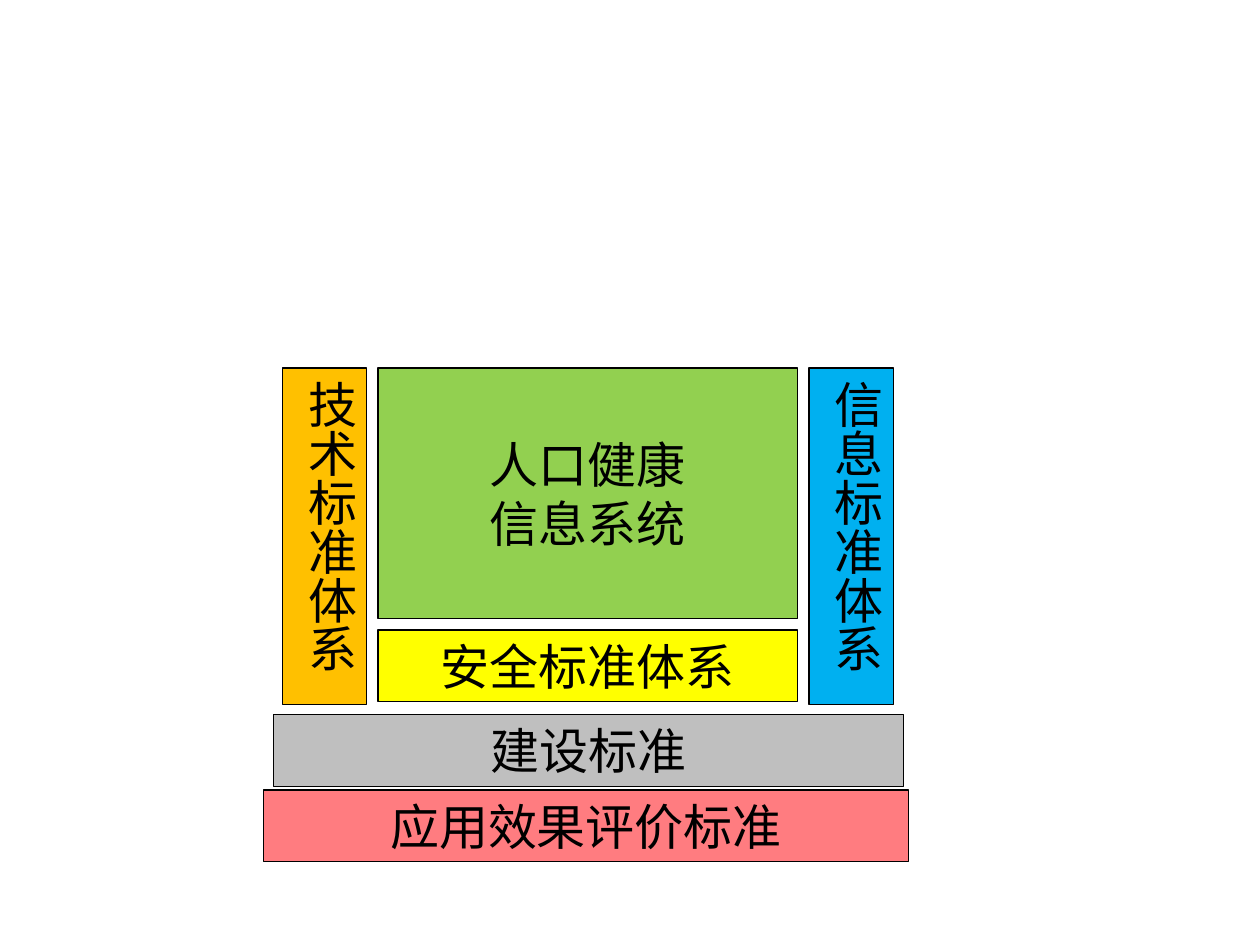
"""Build a block diagram of the standards around a population health information system."""
from pptx import Presentation
from pptx.dml.color import RGBColor
from pptx.enum.shapes import MSO_SHAPE
from pptx.enum.text import MSO_ANCHOR, PP_ALIGN
from pptx.util import Inches, Pt

BLACK = RGBColor(0x00, 0x00, 0x00)
GREEN = RGBColor(0x92, 0xD0, 0x50)
ORANGE = RGBColor(0xFF, 0xC0, 0x00)
BLUE = RGBColor(0x00, 0xB0, 0xF0)
YELLOW = RGBColor(0xFF, 0xFF, 0x00)
GREY = RGBColor(0xBF, 0xBF, 0xBF)
RED = RGBColor(0xFF, 0x7C, 0x80)

SLIDE_WIDTH, SLIDE_HEIGHT = 10, 7.5
CORE_LEFT, CORE_WIDTH = 3, 3.33
PILLAR_WIDTH, PILLAR_HEIGHT, PILLAR_GAP = 0.67, 2.67, 0.09
TOP, CORE_HEIGHT, BAR_HEIGHT = 2.92, 1.99, 0.57
LEFT_PILLAR = CORE_LEFT - PILLAR_GAP - PILLAR_WIDTH
RIGHT_PILLAR = CORE_LEFT + CORE_WIDTH + PILLAR_GAP

CORE = ("人口健康\n信息系统", GREEN)
PILLARS = [
    ("技术标准体系", ORANGE, LEFT_PILLAR),
    ("信息标准体系", BLUE, RIGHT_PILLAR),
]
BARS = [
    ("安全标准体系", YELLOW, CORE_LEFT, 5, CORE_WIDTH),
    ("建设标准", GREY, 2.17, 5.67, 5),
    ("应用效果评价标准", RED, 2.09, 6.27, 5.12),
]


def add_block(slide, text, color, left, top, width, height, vertical=False):
    shape = slide.shapes.add_shape(
        MSO_SHAPE.RECTANGLE, *map(Inches, (left, top, width, height)))
    shape.shadow.inherit = False
    shape.fill.solid()
    shape.fill.fore_color.rgb = color
    shape.line.color.rgb = BLACK
    shape.line.width = Pt(0.75)
    text_frame = shape.text_frame
    text_frame.word_wrap = True
    text_frame.vertical_anchor = MSO_ANCHOR.TOP if vertical else MSO_ANCHOR.MIDDLE
    if vertical:
        text_frame._txBody.bodyPr.set("vert", "eaVert")
    text_frame.text = text
    for paragraph in text_frame.paragraphs:
        paragraph.alignment = PP_ALIGN.CENTER
        for run in paragraph.runs:
            run.font.name = "Calibri"
            run.font.size = Pt(28)
            run.font.color.rgb = BLACK


def main():
    presentation = Presentation()
    presentation.slide_width = Inches(SLIDE_WIDTH)
    presentation.slide_height = Inches(SLIDE_HEIGHT)
    slide = presentation.slides.add_slide(presentation.slide_layouts[6])
    add_block(slide, *CORE, CORE_LEFT, TOP, CORE_WIDTH, CORE_HEIGHT)
    for text, color, left in PILLARS:
        add_block(slide, text, color, left, TOP, PILLAR_WIDTH, PILLAR_HEIGHT, vertical=True)
    for text, color, left, top, width in BARS:
        add_block(slide, text, color, left, top, width, BAR_HEIGHT)
    presentation.save("out.pptx")


if __name__ == "__main__":
    main()
